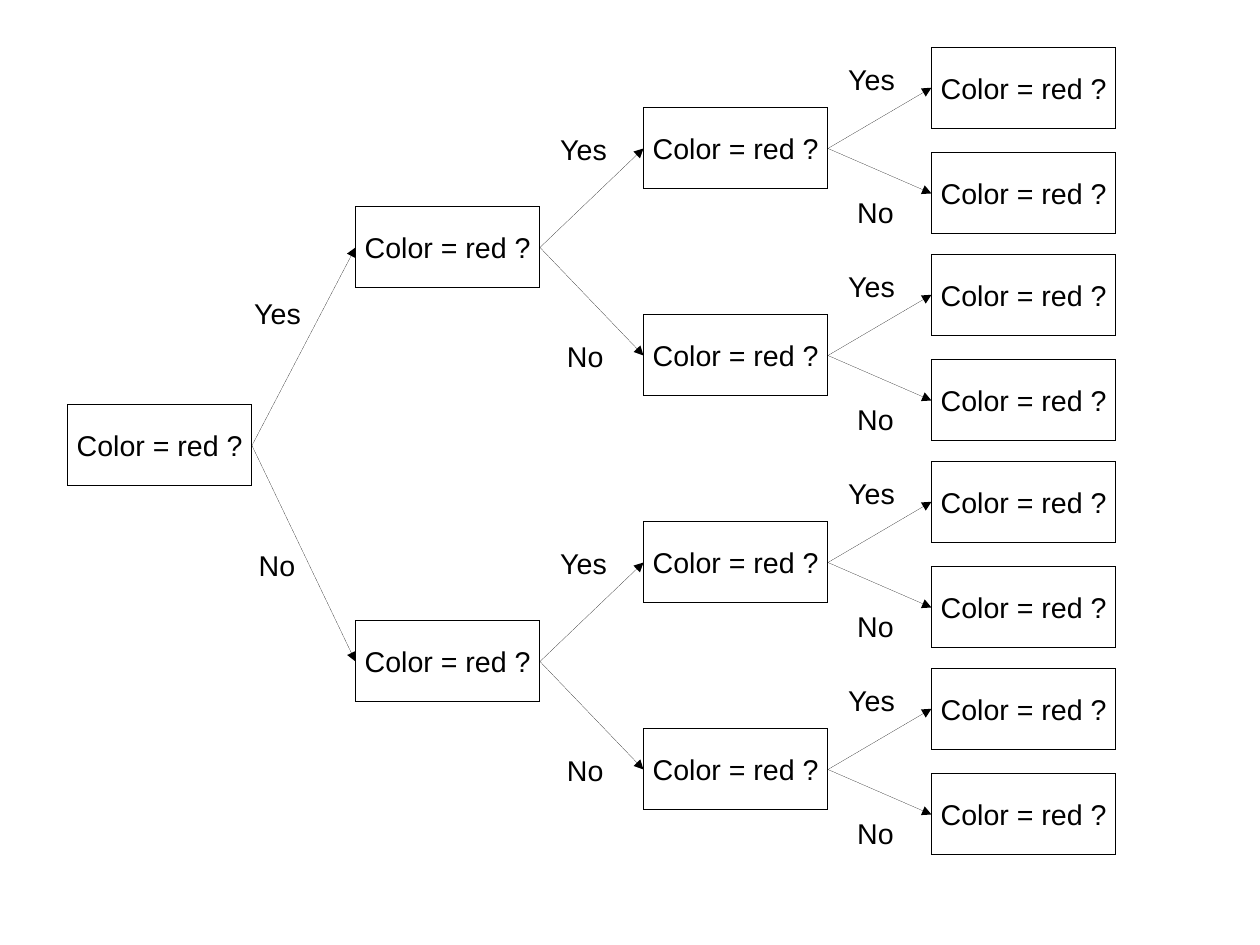
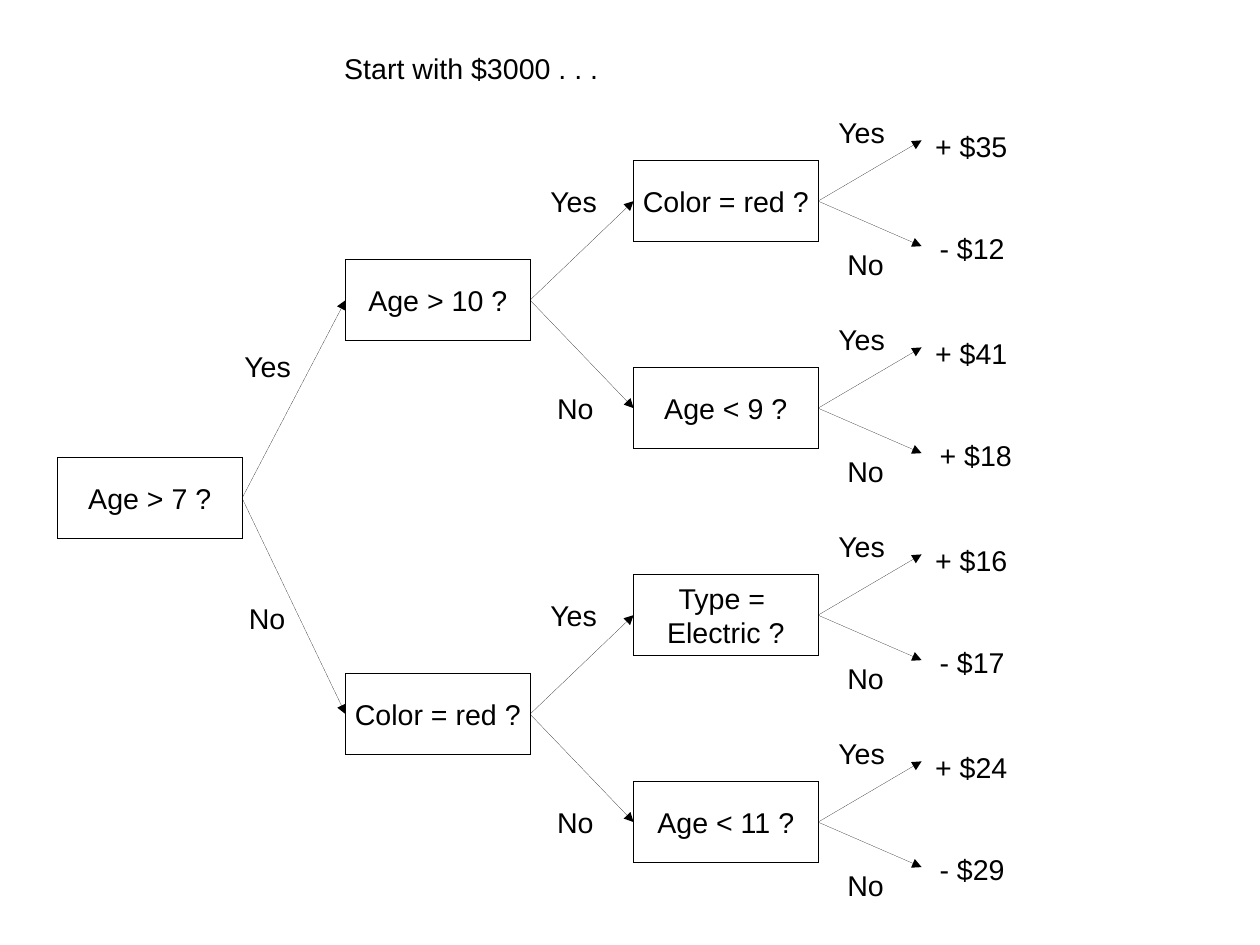
"""Build two slides of yes/no decision trees."""
from dataclasses import dataclass
from typing import Any

from lxml.etree import SubElement
from pptx import Presentation
from pptx.dml.color import RGBColor
from pptx.enum.shapes import MSO_CONNECTOR as Connector, MSO_SHAPE as Shape
from pptx.enum.text import MSO_ANCHOR as Anchor, MSO_AUTO_SIZE as AutoSize, PP_ALIGN as Align
from pptx.oxml.ns import qn
from pptx.util import Cm, Pt

LEFT_SIDE, RIGHT_SIDE = 1, 3
BOX_WIDTH, BOX_HEIGHT = 4.1, 1.8
COLUMN_STEP = 6.4
ANSWERS = (("Yes", 2.2), ("No", 1.5))
CHILD_DROPS = ((-4.4, 4.8), (-2.2, 2.4), (-1.35, 1.0))
ANSWER_OFFSETS = (
    ((3.9, -2.55), (4.0, 3.05)),
    ((4.3, -1.8), (4.45, 2.8)),
    ((4.3, -1.15), (4.5, 1.8)),
)
OUTCOME_OFFSETS = ((6.45, -0.83), (6.55, 1.43))


@dataclass
class Question:
    text: str
    branches: tuple[Any, ...] = ()


def color(value):
    return RGBColor.from_string(value)


def write_text(frame, text, size=18, font="Arial", ink="000000", align=Align.LEFT):
    frame.text = text
    for paragraph in frame.paragraphs:
        paragraph.alignment = align
        paragraph.font.size = Pt(size)
        paragraph.font.name = font
        paragraph.font.color.rgb = color(ink)


class TreeDeck:
    ink = "000000"
    paper = "FFFFFF"

    def __init__(self):
        self.presentation = Presentation()
        self.presentation.slide_width = Cm(28)
        self.presentation.slide_height = Cm(21)
        self.slide = None

    def new_slide(self):
        self.slide = self.presentation.slides.add_slide(self.presentation.slide_layouts[6])
        background = self.slide.background.fill
        background.solid()
        background.fore_color.rgb = color(self.paper)

    def hairline(self, shape):
        shape.line.color.rgb = color(self.ink)
        outline = shape.get_or_add_ln()
        outline.set("w", "0")
        return outline

    def label(self, text, left, top, width):
        shape = self.slide.shapes.add_textbox(Cm(left), Cm(top), Cm(width), Cm(0.97))
        frame = shape.text_frame
        frame.word_wrap = True
        frame.auto_size = AutoSize.SHAPE_TO_FIT_TEXT
        write_text(frame, text, ink=self.ink)

    def box(self, text, left, top):
        shape = self.slide.shapes.add_shape(
            Shape.FLOWCHART_PROCESS, Cm(left), Cm(top), Cm(BOX_WIDTH), Cm(BOX_HEIGHT))
        shape.shadow.inherit = False
        shape.fill.solid()
        shape.fill.fore_color.rgb = color(self.paper)
        self.hairline(shape)
        frame = shape.text_frame
        frame.word_wrap = False
        frame.vertical_anchor = Anchor.MIDDLE
        write_text(frame, text, ink=self.ink, align=Align.CENTER)
        return shape

    def arrow(self, parent, left, middle, child=None):
        start = parent.left + parent.width, parent.top + parent.height // 2
        connector = self.slide.shapes.add_connector(
            Connector.STRAIGHT, *start, Cm(left), Cm(middle))
        connector.begin_connect(parent, RIGHT_SIDE)
        if child is not None:
            connector.end_connect(child, LEFT_SIDE)
        SubElement(self.hairline(connector), qn("a:tailEnd"), type="triangle")
        SubElement(connector._element.spPr, qn("a:effectLst"))

    def tree(self, question, left, top, level=0):
        parent = self.box(question.text, left, top)
        for index, branch in enumerate(question.branches):
            child_left = left + COLUMN_STEP
            child_top = top + CHILD_DROPS[level][index]
            child = None
            if isinstance(branch, Question):
                child = self.tree(branch, child_left, child_top, level + 1)
            else:
                across, down = OUTCOME_OFFSETS[index]
                self.label(branch, left + across, top + down, 2.3)
            self.arrow(parent, child_left, child_top + BOX_HEIGHT / 2, child)
            answer, width = ANSWERS[index]
            across, down = ANSWER_OFFSETS[level][index]
            self.label(answer, left + across, top + down, width)
        return parent


def uniform_tree(text, depth):
    if depth == 0:
        return Question(text)
    return Question(text, (uniform_tree(text, depth - 1),) * 2)


PRICE_TREE = Question("Age > 7 ?", (
    Question("Age > 10 ?", (
        Question("Color = red ?", ("+ $35", "- $12")),
        Question("Age < 9 ?", ("+ $41", "+ $18")),
    )),
    Question("Color = red ?", (
        Question("Type = \nElectric ?", ("+ $16", "- $17")),
        Question("Age < 11 ?", ("+ $24", "- $29")),
    )),
))


def main():
    deck = TreeDeck()
    deck.new_slide()
    deck.tree(uniform_tree("Color = red ?", 3), 1.5, 9)
    deck.new_slide()
    deck.label("Start with $3000 . . .", 7.4, 1, 6.4)
    deck.tree(PRICE_TREE, 1.28, 10.17)
    deck.presentation.save("out.pptx")


if __name__ == "__main__":
    main()
